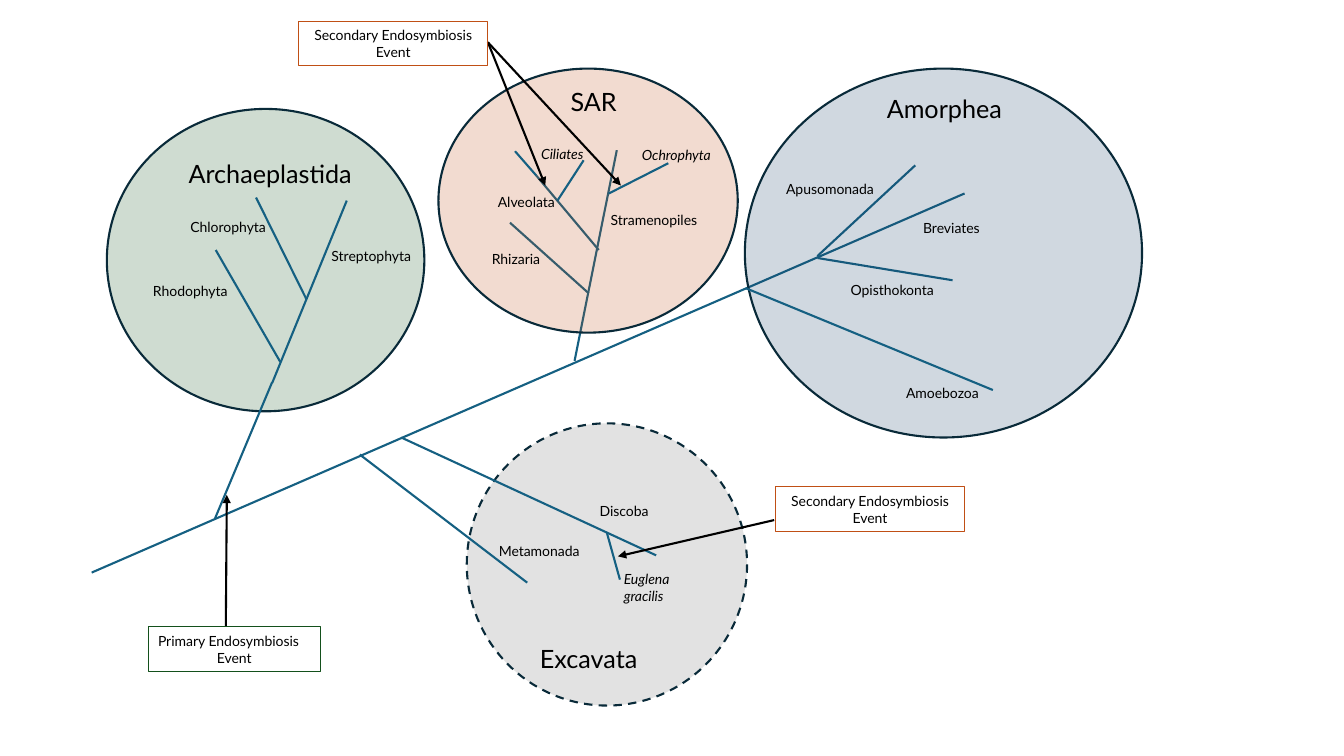
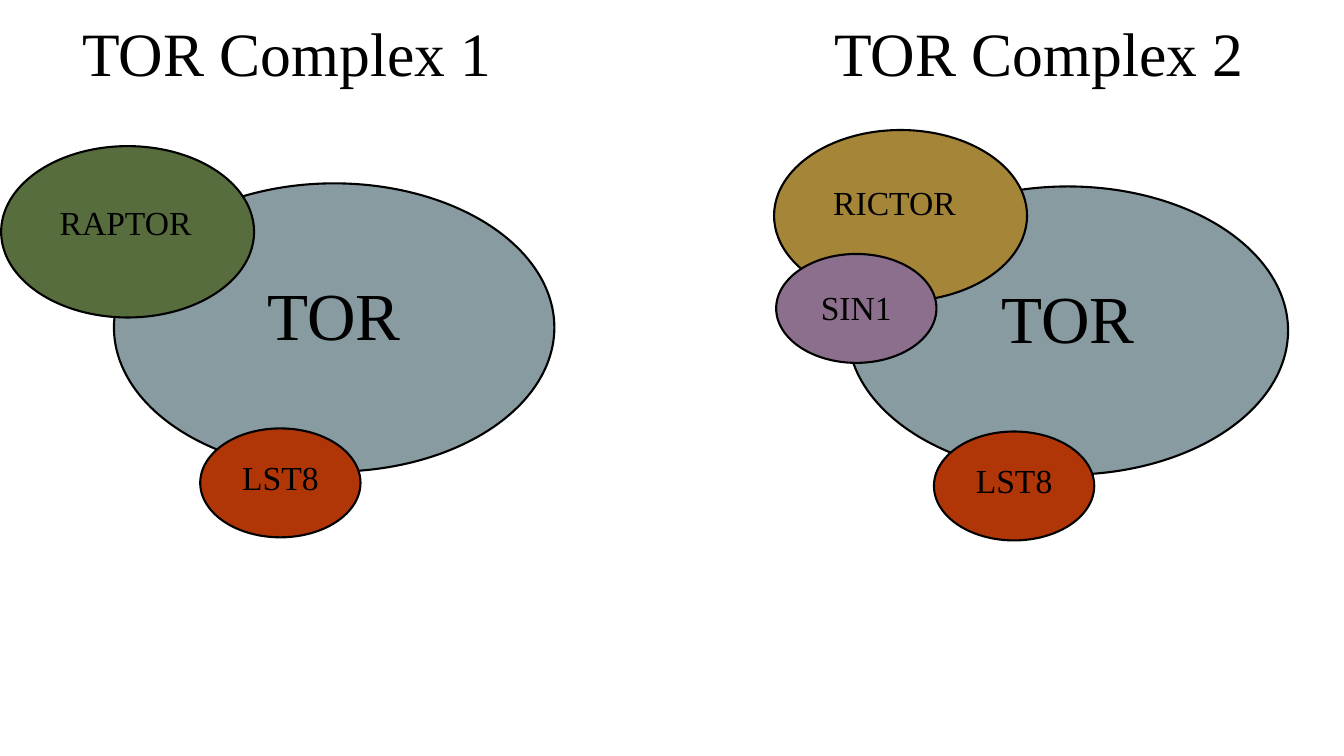
from dataclasses import dataclass

from pptx import Presentation
from pptx.dml.color import RGBColor
from pptx.enum.dml import MSO_LINE
from pptx.enum.shapes import MSO_CONNECTOR, MSO_SHAPE
from pptx.enum.text import MSO_ANCHOR, MSO_AUTO_SIZE, PP_ALIGN
from pptx.oxml.ns import qn
from pptx.util import Pt
from lxml.etree import SubElement


@dataclass(frozen=True)
class Theme:
    ink: str = "000000"
    branch: str = "156082"
    circle_edge: str = "092A39"
    green: str = "13501B"
    orange: str = "C04F15"
    navy: str = "163E64"
    gray: str = "404040"
    tor: str = "879BA0"
    lst8: str = "B13607"
    raptor: str = "586D3D"
    rictor: str = "A58537"
    sin1: str = "8C6F8D"
    tree_font: str = "Lato"
    complex_font: str = "Times New Roman"
    label_size: int = 10
    heading_size: int = 18
    subunit_size: int = 24
    title_size: int = 44
    tor_size: int = 48
    line_width: float = 1.5
    box_width: float = 0.75


THEME = Theme()
SLIDE_SIZE = (960, 540)

# Tree of eukaryotes: circles are (box, colour, opacity %, dashed)
LOWER_CIRCLES = [
    ((333.4, 302.4, 200.2, 201.6), THEME.gray, 15, True),
    ((76.3, 77.8, 226.8, 216), THEME.green, 20, False),
]
UPPER_CIRCLES = [
    ((313.2, 49, 213.8, 188.6), THEME.orange, 20, False),
    ((532.1, 49, 283.7, 263.5), THEME.navy, 20, False),
]

# Branches that the upper circles tint, then those on top: (x1, y1, x2, y2)
LOWER_BRANCHES = [
    (65.5, 409, 689, 138.2),
    (257, 324.7, 376.6, 416.2),
    (286.6, 312.5, 468.7, 396.7),
    (153.4, 370.8, 194.4, 273),
    (200.2, 258.5, 154.1, 178.6),
    (194.4, 273.6, 247.7, 143.3),
    (218.9, 213.8, 182.9, 141.1),
    (410.4, 257.8, 440.6, 107.3),
    (420.5, 209.5, 364.3, 159.1),
    (427.7, 178.6, 383, 125.3),
    (583.9, 182.9, 653.8, 118.1),
    (583.9, 184.3, 680.4, 200.2),
]
UPPER_BRANCHES = [
    (433.4, 380.2, 442.8, 414),
    (398.2, 143.3, 416.9, 114.5),
    (383, 125.3, 367.9, 108),
    (434.9, 138.2, 477.4, 116.6),
    (532.8, 205.9, 709.2, 278.6),
]
EVENT_ARROWS = [
    (161.3, 447.8, 162, 353.5),
    (348.5, 30.2, 443.5, 132.5),
    (348.5, 30.2, 389.5, 132.5),
    (553, 371.5, 441.4, 397.4),
]

HEADINGS = [
    ("Archaeplastida", 113.8, 109.4),
    ("SAR", 344.9, 58.3),
    ("Amorphea", 595.4, 63.4),
    ("Excavata", 341.3, 455.8),
]
GROUP_LABELS = [
    ("Rhodophyta", 102.2, 198),
    ("Chlorophyta", 128.9, 152.6),
    ("Streptophyta", 229.7, 173.5),
    ("Metamonada", 349.2, 383.8),
    ("Discoba", 421.2, 355.7),
    ("Rhizaria", 344.2, 175.7),
    ("Alveolata", 348.5, 134.6),
    ("Stramenopiles", 429.1, 147.6),
    ("Opisthokonta", 600.5, 197.3),
    ("Breviates", 652.3, 153.4),
    ("Apusomonada", 554.4, 125.3),
    ("Amoebozoa", 640.1, 271.4),
]
SPECIES_LABELS = [
    ("Euglena gracilis", 438.5, 403.9, 60),
    ("Ciliates", 379.4, 100.1, 60),
    ("Ochrophyta", 451.4, 100.8, 72),
]

# Event boxes: (paragraphs with alignment, box, colour)
SECONDARY = [("Secondary Endosymbiosis Event", PP_ALIGN.CENTER)]
PRIMARY = [("Primary Endosymbiosis", PP_ALIGN.LEFT), ("Event", PP_ALIGN.CENTER)]
EVENT_BOXES = [
    (PRIMARY, (105.8, 447.8, 123.1, 31.7), THEME.green),
    (SECONDARY, (213.1, 15.1, 135.4, 31.7), THEME.orange),
    (SECONDARY, (553.7, 347.8, 135.4, 31.7), THEME.orange),
]

# TOR complexes: subunits are (name, offset from TOR, size, colour, text shift left, text lift)
LARGE, SMALL = (180.7, 122.4), (114.5, 77.8)
TOR_SIZE = (314.6, 205.9)
LST8 = ("LST8", (61.6, 175), SMALL, THEME.lst8, 0, 4.3)
COMPLEXES = [
    {"title": "TOR Complex 1", "title_left": 27.4, "origin": (81.4, 131),
     "subunits": [LST8, ("RAPTOR", (-80.6, -26.6), LARGE, THEME.raptor, 1.4, 7.2)]},
    {"title": "TOR Complex 2", "title_left": 564.5, "origin": (605.5, 133.2),
     "subunits": [("RICTOR", (-52.6, -40.3), LARGE, THEME.rictor, 4.3, 9.4),
                  ("SIN1", (-51.1, 48.2), SMALL, THEME.sin1, 0, 0.7), LST8]},
]
TITLE_TOP, TITLE_WIDTH, TITLE_HEIGHT = 7.2, 355.7, 60.5


def points(values):
    return [Pt(value) for value in values]


def write(shape, paragraphs, font_name, size, italic=False):
    """Fill a shape with (text, alignment) paragraphs in one style."""
    text_frame = shape.text_frame
    text_frame.word_wrap = True
    text_frame.text = "\n".join(text for text, _ in paragraphs)
    for paragraph, (_, alignment) in zip(text_frame.paragraphs, paragraphs):
        paragraph.alignment = alignment
        for run in paragraph.runs:
            run.font.name = font_name
            run.font.size = Pt(size)
            run.font.italic = italic
            run.font.color.rgb = RGBColor.from_string(THEME.ink)


def add_label(slide, text, box, font_name, size, alignment=PP_ALIGN.LEFT, italic=False):
    label = slide.shapes.add_textbox(*points(box))
    write(label, [(text, alignment)], font_name, size, italic)


def add_outlined(slide, preset, box, fill, edge, width=THEME.line_width):
    shape = slide.shapes.add_shape(preset, *points(box))
    shape.shadow.inherit = False
    if fill:
        shape.fill.solid()
        shape.fill.fore_color.rgb = RGBColor.from_string(fill)
    else:
        shape.fill.background()
    shape.line.color.rgb = RGBColor.from_string(edge)
    shape.line.width = Pt(width)
    return shape


def add_circles(slide, circles):
    for box, color, opacity, dashed in circles:
        circle = add_outlined(slide, MSO_SHAPE.OVAL, box, color, THEME.circle_edge)
        fill_color = circle._element.spPr.find(qn("a:solidFill")).find(qn("a:srgbClr"))
        SubElement(fill_color, qn("a:alpha"), val=str(opacity * 1000))
        if dashed:
            circle.line.dash_style = MSO_LINE.DASH


def add_lines(slide, lines, color, arrow=False):
    for ends in lines:
        connector = slide.shapes.add_connector(MSO_CONNECTOR.STRAIGHT, *points(ends))
        connector.line.color.rgb = RGBColor.from_string(color)
        connector.line.width = Pt(THEME.line_width)
        properties = connector._element.spPr
        if arrow:
            SubElement(properties.find(qn("a:ln")), qn("a:tailEnd"), type="triangle")
        SubElement(properties, qn("a:effectLst"))


def build_tree(presentation):
    slide = presentation.slides.add_slide(presentation.slide_layouts[6])
    # Circles and branches, back to front
    add_circles(slide, LOWER_CIRCLES)
    add_lines(slide, LOWER_BRANCHES, THEME.branch)
    add_circles(slide, UPPER_CIRCLES)
    add_lines(slide, UPPER_BRANCHES, THEME.branch)
    # Names
    for text, left, top in HEADINGS:
        add_label(slide, text, (left, top, 158.4, 28.8), THEME.tree_font,
                  THEME.heading_size, PP_ALIGN.CENTER)
    for text, left, top in GROUP_LABELS:
        add_label(slide, text, (left, top, 84, 19.4), THEME.tree_font, THEME.label_size)
    for text, left, top, width in SPECIES_LABELS:
        add_label(slide, text, (left, top, width, 19.4), THEME.tree_font,
                  THEME.label_size, italic=True)
    # Endosymbiosis events
    add_lines(slide, EVENT_ARROWS, THEME.ink, arrow=True)
    for paragraphs, box, color in EVENT_BOXES:
        event = add_outlined(slide, MSO_SHAPE.RECTANGLE, box, None, color, THEME.box_width)
        write(event, paragraphs, THEME.tree_font, THEME.label_size)


def add_subunit(slide, name, box, color, size, shift, lift):
    """Draw a named oval; the insets move its text left and up."""
    subunit = add_outlined(slide, MSO_SHAPE.OVAL, box, color, THEME.ink)
    write(subunit, [(name, PP_ALIGN.CENTER)], THEME.complex_font, size)
    text_frame = subunit.text_frame
    text_frame.vertical_anchor = MSO_ANCHOR.MIDDLE
    text_frame.margin_left = text_frame.margin_top = 0
    text_frame.margin_right, text_frame.margin_bottom = Pt(2 * shift), Pt(2 * lift)


def build_complexes(presentation):
    slide = presentation.slides.add_slide(presentation.slide_layouts[5])
    for index, part in enumerate(COMPLEXES):
        # Heading: the first one is the slide title
        title_box = points((part["title_left"], TITLE_TOP, TITLE_WIDTH, TITLE_HEIGHT))
        if index == 0:
            title = slide.shapes.title
            title.left, title.top, title.width, title.height = title_box
        else:
            title = slide.shapes.add_textbox(*title_box)
        write(title, [(part["title"], PP_ALIGN.CENTER)], THEME.complex_font, THEME.title_size)
        title.text_frame.auto_size = MSO_AUTO_SIZE.NONE
        title.text_frame.vertical_anchor = MSO_ANCHOR.TOP
        # TOR and its partners
        left, top = part["origin"]
        add_subunit(slide, "TOR", (left, top, *TOR_SIZE), THEME.tor, THEME.tor_size, 0, 9.7)
        for name, (dx, dy), size, color, shift, lift in part["subunits"]:
            add_subunit(slide, name, (left + dx, top + dy, *size), color,
                        THEME.subunit_size, shift, lift)


def main():
    presentation = Presentation()
    presentation.slide_width, presentation.slide_height = points(SLIDE_SIZE)
    build_tree(presentation)
    build_complexes(presentation)
    presentation.save("out.pptx")


if __name__ == "__main__":
    main()
